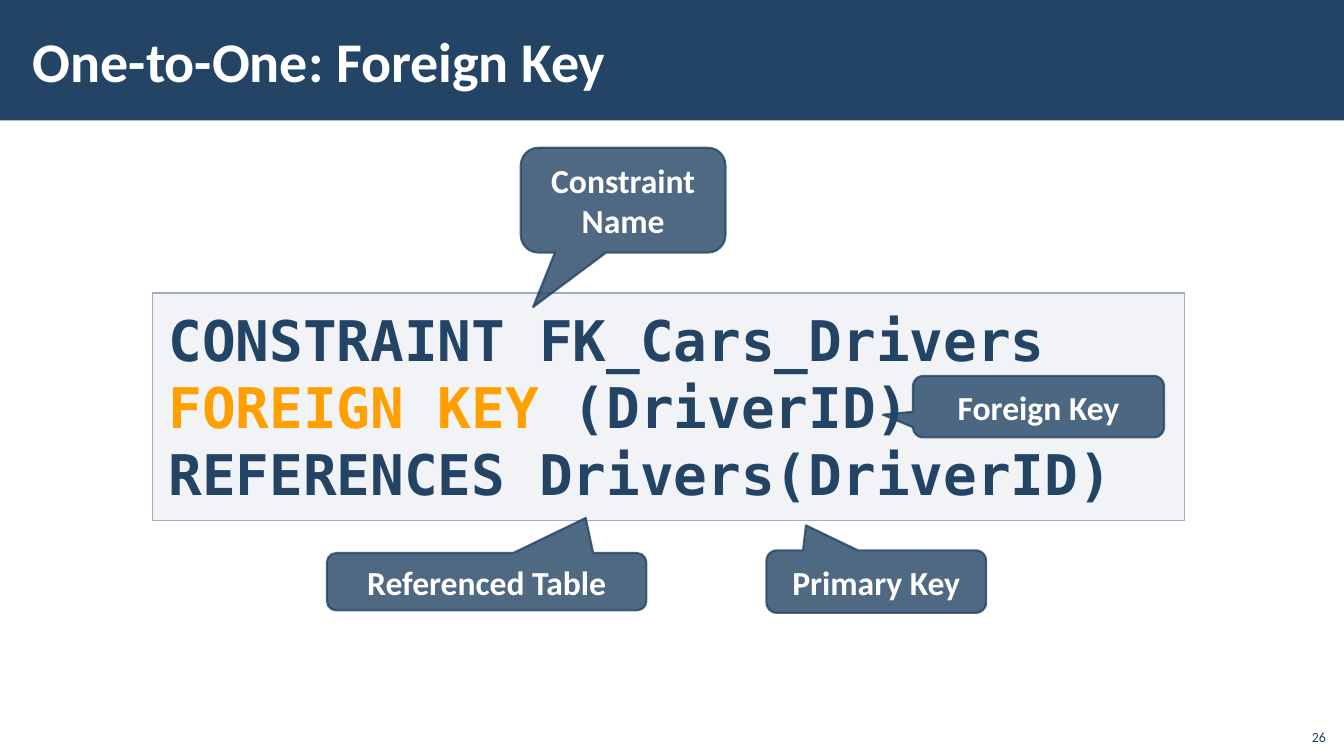
import lxml.etree
import pptx
import pptx.dml.color
import pptx.enum.shapes
import pptx.enum.text
import pptx.oxml.ns
import pptx.util

THEME = {
    "navy": "234465", "white": "FFFFFF", "amber": "FFA000",
    "pale": "C2C7D2", "edge": "A3ABBC",
    "body": "Calibri", "mono": "DejaVu Sans Mono",
    "big": 40, "mid": 24, "small": 10,
}
KIND = pptx.enum.shapes.MSO_SHAPE
ALIGN = pptx.enum.text.PP_ALIGN
ANCHOR = pptx.enum.text.MSO_ANCHOR
SIZE = pptx.enum.text.MSO_AUTO_SIZE
RGB = pptx.dml.color.RGBColor.from_string

deck = pptx.Presentation()
deck.slide_width = pptx.util.Inches(13.33)
deck.slide_height = pptx.util.Inches(7.5)
slide = deck.slides.add_slide(deck.slide_layouts[5])

# All places are percent of the slide's width and height
COL = deck.slide_width / 100
ROW = deck.slide_height / 100


def place(x, y, w, h):
    return int(x * COL), int(y * ROW), int(w * COL), int(h * ROW)


def write(para, text, size, color, font="body", bold=True):
    run = para.add_run()
    run.text = text
    run.font.name = THEME[font]
    run.font.size = pptx.util.Pt(THEME[size])
    run.font.bold = bold
    run.font.color.rgb = RGB(THEME[color])


# Shapes: kind, place, fill, fill opacity, line, line width, line opacity
ROUND = KIND.ROUNDED_RECTANGULAR_CALLOUT
NOTE = ("navy", 80, "navy", 1.5, 80)
parts = {
    "Bar": (KIND.RECTANGLE, (0, 0, 100, 15.95), "navy", 100, None, 0, 100),
    "Code": (KIND.RECTANGLE, (11.33, 38.75, 76.8, 30.13), "pale", 20, "edge", 1, 100),
    "Primary Key": (ROUND, (57.03, 72.8, 16.35, 8.27), *NOTE),
    "Foreign Key": (ROUND, (67.93, 49.73, 18.68, 8.13), *NOTE),
    "Constraint Name": (ROUND, (38.75, 19.55, 15.23, 13.87), *NOTE),
    "Referenced Table": (ROUND, (24.32, 73.15, 23.78, 7.6), *NOTE),
}
made = {}
for name, (kind, spot, fill, solid, line, width, dense) in parts.items():
    shape = slide.shapes.add_shape(kind, *place(*spot))
    shape.shadow.inherit = False
    shape.fill.solid()
    shape.fill.fore_color.rgb = RGB(THEME[fill])
    if line:
        shape.line.color.rgb = RGB(THEME[line])
        shape.line.width = pptx.util.Pt(width)
    else:
        shape.line.fill.background()
    # Opacity of fill and line, in that order
    tints = shape.element.spPr.iter(pptx.oxml.ns.qn("a:srgbClr"))
    for tint, share in zip(tints, (solid, dense)):
        if share < 100:
            alpha = lxml.etree.SubElement(tint, pptx.oxml.ns.qn("a:alpha"))
            alpha.set("val", str(share * 1000))
    made[name] = shape

# Callout tips and labels
tips = {
    "Primary Key": (-0.32, -0.9),
    "Foreign Key": (-0.62, 0.13),
    "Constraint Name": (-0.44, 1.02),
    "Referenced Table": (0.31, -1.11),
}
for name, (across, down) in tips.items():
    note = made[name]
    note.adjustments[0], note.adjustments[1] = across, down
    frame = note.text_frame
    frame.word_wrap = True
    frame.vertical_anchor = ANCHOR.MIDDLE
    frame.paragraphs[0].alignment = ALIGN.CENTER
    write(frame.paragraphs[0], name, "mid", "white")

# Code
frame = made["Code"].text_frame
frame.word_wrap = True
frame.vertical_anchor = ANCHOR.TOP
frame.margin_left = frame.margin_right = pptx.util.Inches(0.16)
frame.margin_top = frame.margin_bottom = pptx.util.Inches(0.12)
para = frame.paragraphs[0]
para.alignment = ALIGN.LEFT
lines = [
    [("CONSTRAINT FK_Cars_Drivers", "navy")],
    [("FOREIGN KEY ", "amber"), ("(DriverID)", "navy")],
    [("REFERENCES Drivers(DriverID)", "navy")],
]
for index, words in enumerate(lines):
    if index:
        para.add_line_break()
    for text, color in words:
        write(para, text, "big", color, "mono")

# Title, in front of the bar and behind the callouts
title = slide.shapes.title
title.left, title.top, title.width, title.height = place(1.55, 1.47, 79.75, 12.93)
made["Code"].element.addnext(title.element)
frame = title.text_frame
frame.auto_size = SIZE.NONE
frame.vertical_anchor = ANCHOR.MIDDLE
frame.margin_left = frame.margin_right = pptx.util.Inches(0.12)
frame.margin_top = frame.margin_bottom = pptx.util.Inches(0.04)
frame.paragraphs[0].alignment = ALIGN.LEFT
write(frame.paragraphs[0], "One-to-One: Foreign Key", "big", "white")

# Page number
page = slide.shapes.add_textbox(*place(96.4, 94.93, 3, 4.27))
frame = page.text_frame
frame.word_wrap = True
frame.vertical_anchor = ANCHOR.BOTTOM
frame.paragraphs[0].alignment = ALIGN.RIGHT
write(frame.paragraphs[0], "26", "small", "navy", bold=False)

deck.save("out.pptx")
